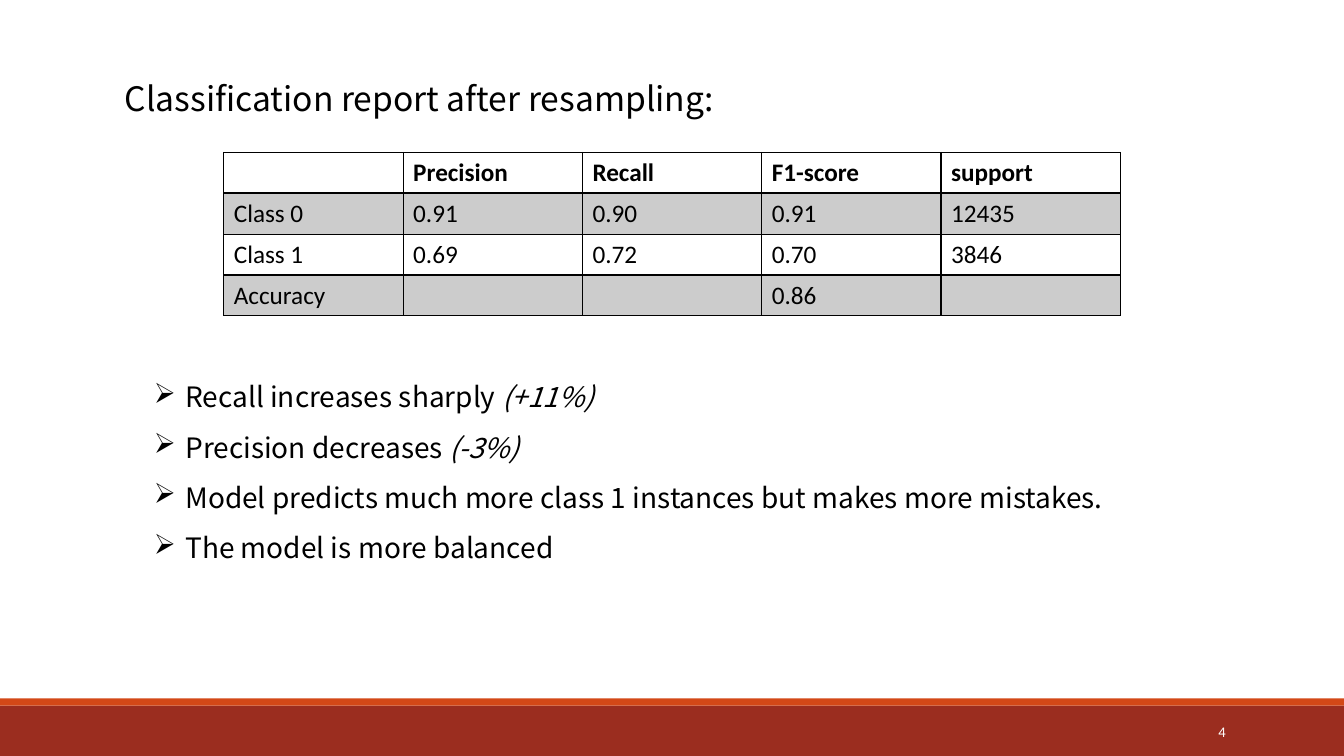
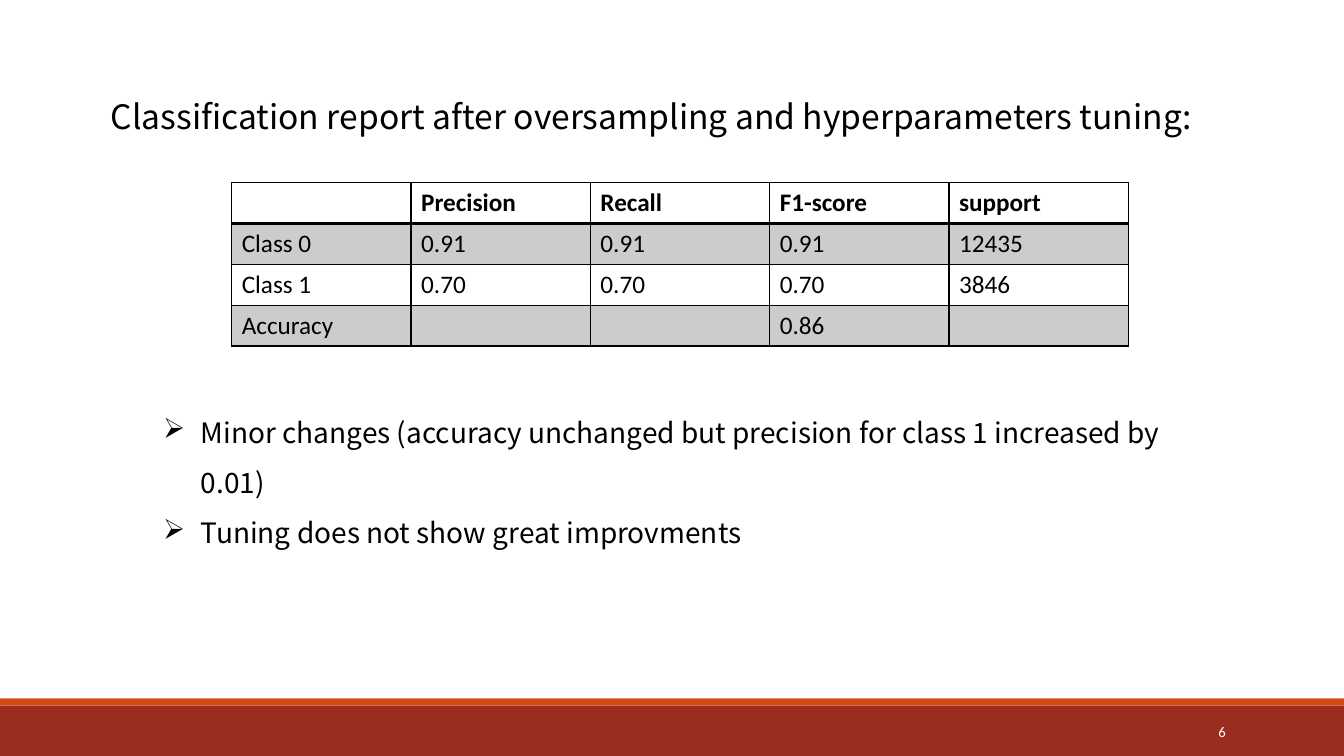
"""Build two slides of classification reports with shared footer bands."""
from lxml.etree import SubElement
from pptx import Presentation
from pptx.dml.color import RGBColor
from pptx.enum.shapes import MSO_SHAPE
from pptx.enum.text import MSO_ANCHOR, PP_ALIGN
from pptx.oxml.ns import qn
from pptx.util import Cm, Pt

COLORS = {"text": "000000", "stripe": "CCCCCC", "band": "9B2D1F",
          "accent": "D34817", "number": "FFFFFF"}
TEXT_FONT = "Noto Sans CJK TC"
TABLE_FONT = "Calibri"
SLIDE_W, SLIDE_H = 33.87, 19.05
BANDS = [("band", 17.78, 1.27), ("accent", 17.6, 0.18)]
COL_W, ROW_H = 4.52, 1.03
HEADER = ["", "Precision", "Recall", "F1-score", "support"]

SLIDES = [
    {
        "number": "4",
        "title": "Classification report after resampling:",
        "title_box": (2.9, 1.83, 27.74, 1.27),
        "table_at": (5.64, 3.84),
        "rows": [
            ["Class 0", "0.91", "0.90", "0.91", "12435"],
            ["Class 1", "0.69", "0.72", "0.70", "3846"],
            ["Accuracy", "", "", "0.86", ""],
        ],
        "points_box": (3.63, 9.02, 27.74, 5.26),
        "indent": 0.79,
        "points": [
            ("Recall increases sharply ", "(+11%)"),
            ("Precision decreases ", "(-3%)"),
            ("Model predicts much more class 1 instances but makes more mistakes.", ""),
            ("The model is more balanced", ""),
        ],
    },
    {
        "number": "6",
        "title": "Classification report after oversampling and hyperparameters tuning:",
        "title_box": (2.54, 2.29, 29.08, 1.27),
        "table_at": (5.84, 4.6),
        "rows": [
            ["Class 0", "0.91", "0.91", "0.91", "12435"],
            ["Class 1", "0.70", "0.70", "0.70", "3846"],
            ["Accuracy", "", "", "0.86", ""],
        ],
        "points_box": (3.86, 9.91, 26.39, 4.88),
        "indent": 0.95,
        "points": [
            ("Minor changes (accuracy unchanged but precision for class 1 "
             "increased by 0.01)", ""),
            ("Tuning does not show great improvments", ""),
        ],
    },
]


def rgb(name):
    return RGBColor.from_string(COLORS[name])


def set_font(p, name, size, color="text", bold=False):
    p.font.name = name
    p.font.size = Pt(size)
    p.font.bold = bold
    p.font.color.rgb = rgb(color)


def add_text_frame(s, box):
    tf = s.shapes.add_textbox(*map(Cm, box)).text_frame
    tf.word_wrap = True
    return tf


def add_footer(s, number):
    for color, top, height in BANDS:
        sp = s.shapes.add_shape(MSO_SHAPE.RECTANGLE, 0, Cm(top), Cm(SLIDE_W), Cm(height))
        sp.shadow.inherit = False
        sp.fill.solid()
        sp.fill.fore_color.rgb = rgb(color)
        sp.line.fill.background()
    tf = add_text_frame(s, (27.51, 17.93, 3.63, 1.02))
    tf.vertical_anchor = MSO_ANCHOR.MIDDLE
    p = tf.paragraphs[0]
    p.text = number
    p.alignment = PP_ALIGN.RIGHT
    set_font(p, TABLE_FONT, 10.5, "number")


def add_title(s, text, box):
    p = add_text_frame(s, box).paragraphs[0]
    p.text = text
    set_font(p, TEXT_FONT, 24)


def set_borders(cell, widths):
    tc_pr = cell._tc.get_or_add_tcPr()
    for side, width in widths.items():
        ln = SubElement(tc_pr, qn(f"a:ln{side}"), w=str(Pt(width)))
        fill = SubElement(ln, qn("a:solidFill"))
        SubElement(fill, qn("a:srgbClr"), val=COLORS["text"])


def add_report(s, rows, at):
    left, top = at
    grid = [HEADER] + rows
    table = s.shapes.add_table(len(grid), len(HEADER), Cm(left), Cm(top),
                               Cm(COL_W * len(HEADER)), Cm(ROW_H * len(grid))).table
    table.first_row = table.horz_banding = False
    for column in table.columns:
        column.width = Cm(COL_W)
    for i, values in enumerate(grid):
        table.rows[i].height = Cm(ROW_H)
        for j, value in enumerate(values):
            cell = table.cell(i, j)
            set_borders(cell, {"L": 1, "R": 1, "T": 2 if i == 1 else 1,
                               "B": 2 if i == 0 else 1})
            if i % 2:
                cell.fill.solid()
                cell.fill.fore_color.rgb = rgb("stripe")
            else:
                cell.fill.background()
            p = cell.text_frame.paragraphs[0]
            p.text = value
            set_font(p, TABLE_FONT, 18, bold=i == 0)


def add_points(s, points, box, indent):
    tf = add_text_frame(s, box)
    for i, (text, change) in enumerate(points):
        p = tf.add_paragraph() if i else tf.paragraphs[0]
        p.line_spacing = 1.5
        set_font(p, TEXT_FONT, 20)
        p.add_run().text = text
        if change:
            r = p.add_run()
            r.text = change
            r.font.italic = True
        p_pr = p._p.get_or_add_pPr()
        p_pr.set("marL", str(Cm(indent)))
        p_pr.set("indent", str(-Cm(indent)))
        bullet = p_pr.makeelement(qn("a:buChar"), {"char": "➢"})
        p_pr.find(qn("a:defRPr")).addprevious(bullet)


def main():
    prs = Presentation()
    prs.slide_width, prs.slide_height = Cm(SLIDE_W), Cm(SLIDE_H)
    for content in SLIDES:
        s = prs.slides.add_slide(prs.slide_layouts[6])
        add_footer(s, content["number"])
        add_report(s, content["rows"], content["table_at"])
        add_title(s, content["title"], content["title_box"])
        add_points(s, content["points"], content["points_box"], content["indent"])
    prs.save("out.pptx")


if __name__ == "__main__":
    main()
